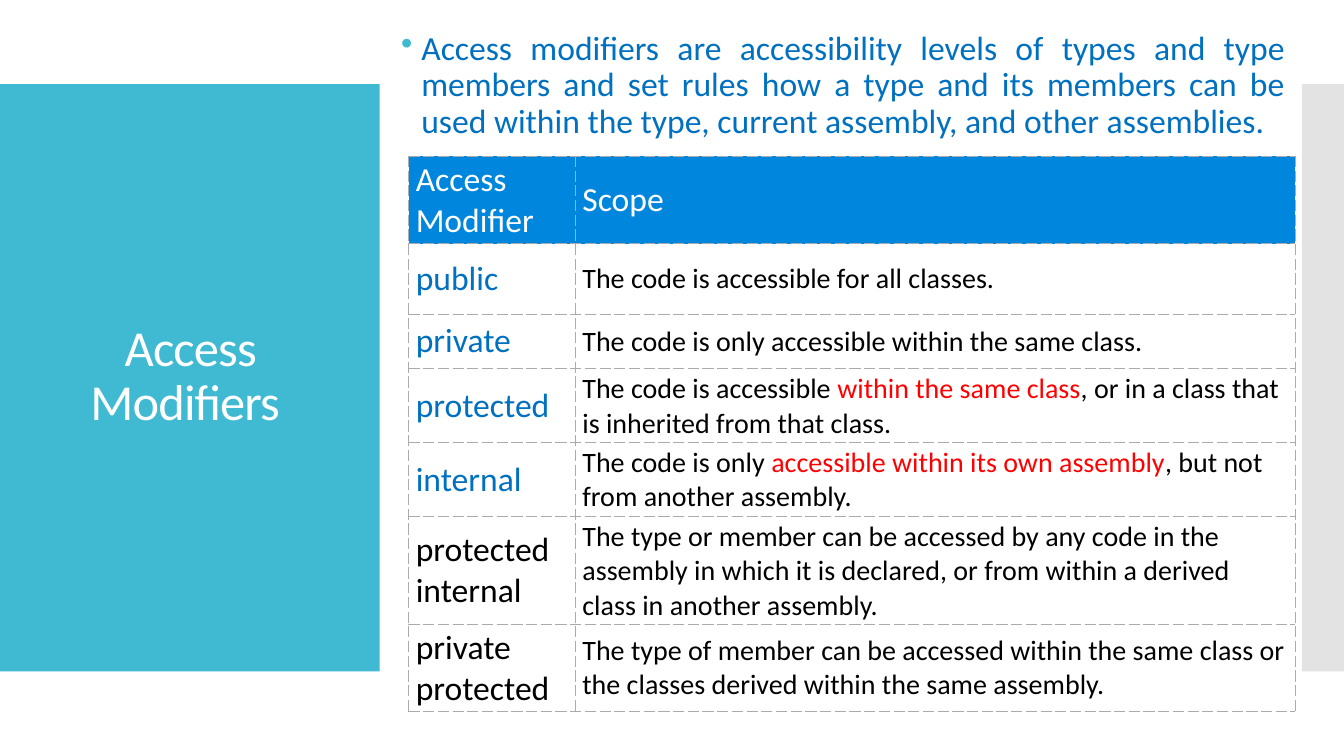
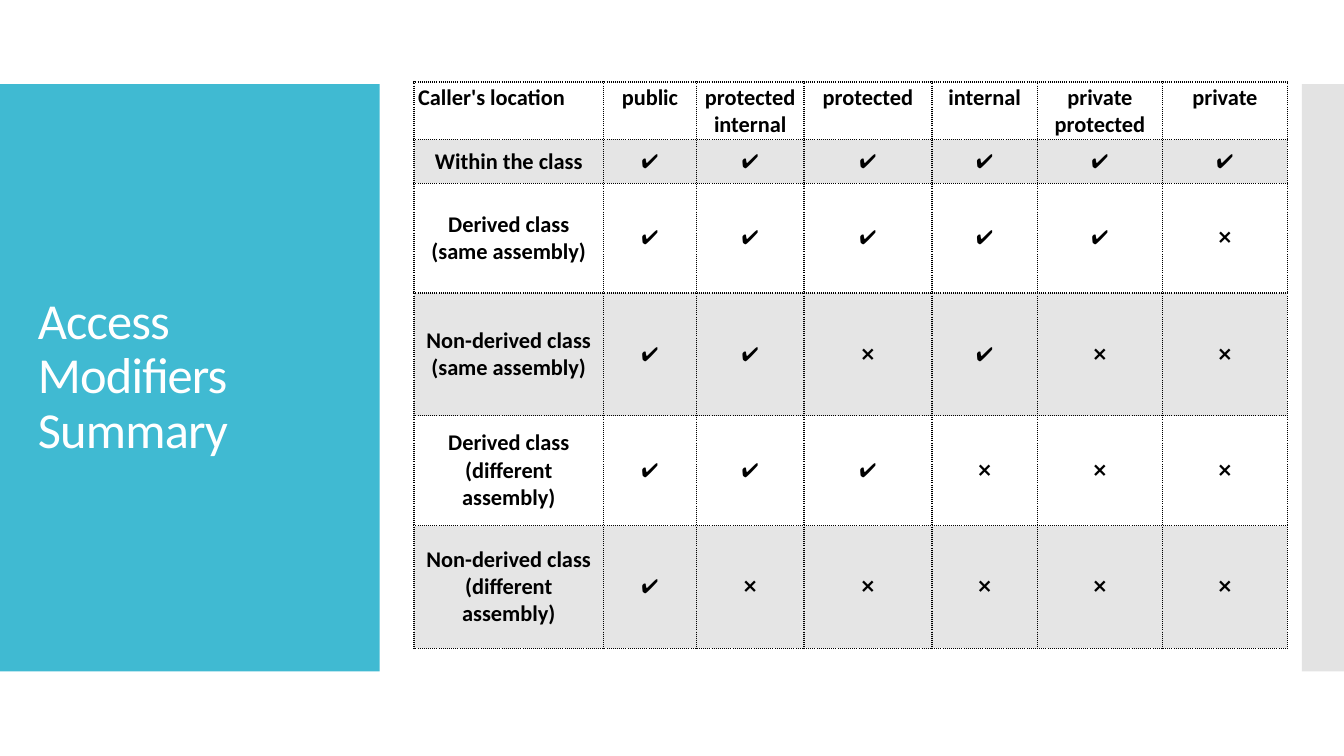
from dataclasses import dataclass

from lxml.etree import SubElement
from pptx import Presentation
from pptx.dml.color import RGBColor
from pptx.enum.shapes import MSO_SHAPE
from pptx.enum.text import MSO_ANCHOR, PP_ALIGN
from pptx.oxml.ns import qn
from pptx.util import Pt


@dataclass(frozen=True)
class Theme:
    font: str = "Calibri"
    teal: str = "40BAD2"
    strip: str = "E3E3E3"
    header: str = "0086DC"
    blue: str = "0070C0"
    red: str = "FF0000"
    black: str = "000000"
    white: str = "FFFFFF"
    band: str = "E5E5E5"
    dashes: str = "ABABAB"
    title_size: int = 36
    large_size: int = 24
    text_size: int = 20
    label_size: int = 16
    mark_size: int = 14


theme = Theme()


def write_text(text_frame, text, *, size, color=theme.black, bold=False,
               align=PP_ALIGN.LEFT, line_spacing=None, tracking=None,
               highlight="", bullet=None):
    """Write one paragraph; the highlighted phrase is set in red."""
    text_frame.word_wrap = True
    paragraph = text_frame.paragraphs[0]
    paragraph.alignment = align
    if line_spacing:
        paragraph.line_spacing = line_spacing
    if bullet:
        properties = paragraph._p.get_or_add_pPr()
        properties.set("marL", str(Pt(14.4)))
        properties.set("indent", str(-Pt(14.4)))
        bullet_color = SubElement(properties, qn("a:buClr"))
        SubElement(bullet_color, qn("a:srgbClr"), val=theme.teal)
        SubElement(properties, qn("a:buChar"), char=bullet)
    parts = text.partition(highlight) if highlight else [text]
    for part in parts:
        run = paragraph.add_run()
        run.text = part
        run.font.name = theme.font
        run.font.size = Pt(size)
        run.font.bold = bold
        part_color = theme.red if part == highlight else color
        run.font.color.rgb = RGBColor.from_string(part_color)
        if tracking:
            run._r.get_or_add_rPr().set("spc", str(int(tracking * 100)))


def add_grid(slide, left, top, widths, heights, *, line_color, line_width,
             dash, margins, fills):
    """Add a table with dashed borders and one fill for each row."""
    table = slide.shapes.add_table(
        len(heights), len(widths), Pt(left), Pt(top),
        Pt(sum(widths)), Pt(sum(heights))).table
    table.first_row = table.horz_banding = False
    for column, width in zip(table.columns, widths):
        column.width = Pt(width)
    for row, height, fill in zip(table.rows, heights, fills):
        row.height = Pt(height)
        for cell in row.cells:
            cell.margin_left = cell.margin_right = Pt(margins[0])
            cell.margin_top = cell.margin_bottom = Pt(margins[1])
            cell.vertical_anchor = MSO_ANCHOR.MIDDLE
            properties = cell._tc.get_or_add_tcPr()
            for side in ("lnL", "lnR", "lnT", "lnB"):
                border = SubElement(properties, qn(f"a:{side}"),
                                    w=str(Pt(line_width)))
                line_fill = SubElement(border, qn("a:solidFill"))
                SubElement(line_fill, qn("a:srgbClr"), val=line_color)
                SubElement(border, qn("a:prstDash"), val=dash)
            cell.fill.solid()
            cell.fill.fore_color.rgb = RGBColor.from_string(fill)
    return table


presentation = Presentation()
presentation.slide_width = Pt(960)
presentation.slide_height = Pt(540)

# Shared side bands and titles
bands = [(0, 271.2, theme.teal), (930, 30, theme.strip)]
titles = [("Access Modifiers ", PP_ALIGN.CENTER),
          ("Access Modifiers Summary", PP_ALIGN.LEFT)]
for title, title_align in titles:
    slide = presentation.slides.add_slide(presentation.slide_layouts[6])
    for left, width, color in bands:
        shape = slide.shapes.add_shape(
            MSO_SHAPE.RECTANGLE, Pt(left), Pt(60), Pt(width), Pt(419.5))
        shape.shadow.inherit = False
        shape.fill.solid()
        shape.fill.fore_color.rgb = RGBColor.from_string(color)
        shape.line.fill.background()
    title_box = slide.shapes.add_textbox(Pt(20), Pt(88.5), Pt(232), Pt(362))
    title_box.text_frame.vertical_anchor = MSO_ANCHOR.MIDDLE
    write_text(title_box.text_frame, title, size=theme.title_size,
               color=theme.white, align=title_align, line_spacing=0.9,
               tracking=-0.6)

modifiers_slide, summary_slide = presentation.slides

# Slide 1: definition
definition_box = modifiers_slide.shapes.add_textbox(
    Pt(279.5), Pt(2), Pt(645.5), Pt(119))
definition_box.text_frame.vertical_anchor = MSO_ANCHOR.MIDDLE
write_text(
    definition_box.text_frame,
    "Access modifiers are accessibility levels of types and type members and "
    "set rules how a type and its members can be used within the type, "
    "current assembly, and other assemblies.",
    size=theme.large_size, color=theme.blue, align=PP_ALIGN.JUSTIFY,
    line_spacing=0.9, bullet="•")

# Slide 1: scope of each modifier (name, name colour, scope, highlight)
scopes = [
    ("public", theme.blue, "The code is accessible for all classes.", ""),
    ("private", theme.blue,
     "The code is only accessible within the same class.", ""),
    ("protected", theme.blue,
     "The code is accessible within the same class, or in a class that is "
     "inherited from that class.", "within the same class"),
    ("internal", theme.blue,
     "The code is only accessible within its own assembly, but not from "
     "another assembly.", "accessible within its own assembly"),
    ("protected internal", theme.black,
     "The type or member can be accessed by any code in the assembly in which "
     "it is declared, or from within a derived class in another assembly.", ""),
    ("private protected", theme.black,
     "The type of member can be accessed within the same class or the classes "
     "derived within the same assembly.", ""),
]
scope_table = add_grid(
    modifiers_slide, 292, 111.6, [119, 514],
    [49, 50.4, 39, 50.4, 50.4, 73.4, 50.4],
    line_color=theme.dashes, line_width=0.6, dash="dash", margins=(5, 2.4),
    fills=[theme.header] + [theme.white] * len(scopes))
for column, heading in enumerate(["Access Modifier", "Scope"]):
    write_text(scope_table.cell(0, column).text_frame, heading,
               size=theme.large_size, color=theme.white)
for row, (name, color, scope, highlight) in enumerate(scopes, start=1):
    write_text(scope_table.cell(row, 0).text_frame, name,
               size=theme.large_size, color=color)
    write_text(scope_table.cell(row, 1).text_frame, scope,
               size=theme.text_size, highlight=highlight)

# Slide 2: access by caller's location
headings = ["Caller's location", "public", "protected internal", "protected",
            "internal", "private protected", "private"]
locations = [
    ("Within the class", "✔️ ✔️ ✔️ ✔️ ✔️ ✔️"),
    ("Derived class (same assembly)", "✔️ ✔️ ✔️ ✔️ ✔️ ❌"),
    ("Non-derived class (same assembly)", "✔️ ✔️ ❌ ✔️ ❌ ❌"),
    ("Derived class (different assembly)", "✔️ ✔️ ✔️ ❌ ❌ ❌"),
    ("Non-derived class (different assembly)", "✔️ ❌ ❌ ❌ ❌ ❌"),
]
summary_table = add_grid(
    summary_slide, 295.7, 58.5, [135.4, 66.4, 76.8, 91.4, 75.4, 89.3, 89.3],
    [40.3, 31, 78.5, 87.6, 78.5, 87.6],
    line_color=theme.black, line_width=1, dash="dot", margins=(3, 1.5),
    fills=[theme.white, theme.band] * 3)
for column, heading in enumerate(headings):
    cell = summary_table.cell(0, column)
    cell.vertical_anchor = MSO_ANCHOR.TOP
    write_text(cell.text_frame, heading, size=theme.label_size, bold=True,
               align=PP_ALIGN.CENTER if column else PP_ALIGN.LEFT)
for row, (location, marks) in enumerate(locations, start=1):
    write_text(summary_table.cell(row, 0).text_frame, location,
               size=theme.label_size, bold=True, align=PP_ALIGN.CENTER)
    for column, mark in enumerate(marks.split(), start=1):
        write_text(summary_table.cell(row, column).text_frame, mark,
                   size=theme.mark_size, align=PP_ALIGN.CENTER)

presentation.save("out.pptx")
